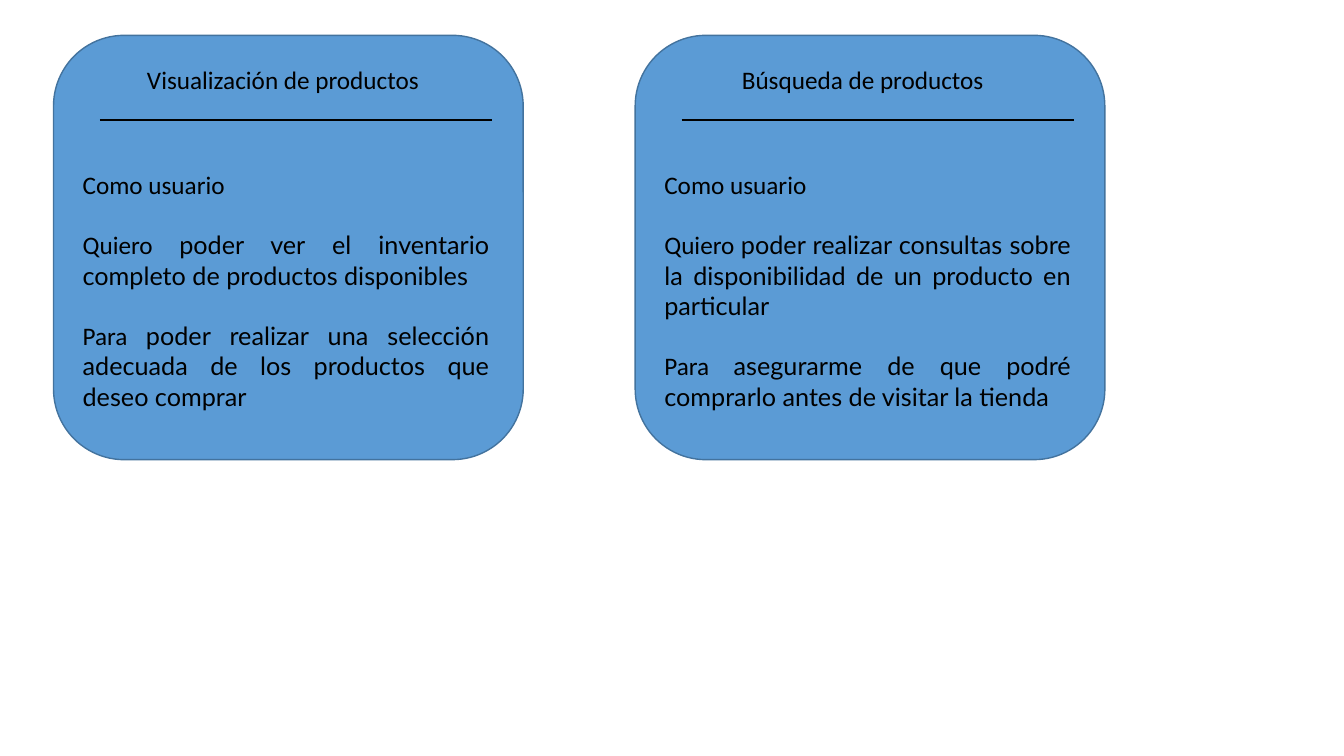
from pptx import Presentation
from pptx.dml.color import RGBColor as Rgb
from pptx.enum.shapes import MSO_CONNECTOR as Connector, MSO_SHAPE as Shape
from pptx.enum.text import PP_ALIGN as Align
from pptx.oxml.ns import qn
from pptx.util import Inches, Pt
from lxml.etree import SubElement

COLORS = {"card": "5B9BD5", "border": "43739E", "ink": "000000"}
STORIES = [
    {
        "title": "Visualización de productos",
        "indent": 6.22,
        "width": 22.05,
        "lines": [
            ("Como usuario", ""),
            ("Quiero ", "poder ver el inventario completo de productos disponibles"),
            ("Para ", "poder realizar una selección adecuada de los productos que deseo comprar"),
        ],
    },
    {
        "title": "Búsqueda de productos",
        "indent": 7.2,
        "width": 20.55,
        "lines": [
            ("Como usuario", ""),
            ("Quiero ", "poder realizar consultas sobre la disponibilidad de un producto en particular"),
            ("Para ", "asegurarme de que podré comprarlo antes de visitar la tienda"),
        ],
    },
]
FIRST_LEFT, STEP = 3.98, 43.28


class StoryBoard:
    lead_font, body_font = "Calibri", "Lato"
    size, gap = Pt(18), Pt(21.6)

    def __init__(self, deck):
        self.deck = deck
        self.page = deck.slides.add_slide(deck.slide_layouts[6])

    def x(self, percent):
        return round(self.deck.slide_width * percent / 100)

    def y(self, percent):
        return round(self.deck.slide_height * percent / 100)

    def area(self, left, top, width, height):
        return self.x(left), self.y(top), self.x(width), self.y(height)

    def color(self, name):
        return Rgb.from_string(COLORS[name])

    def card(self, group, *area):
        card = group.shapes.add_shape(Shape.ROUNDED_RECTANGLE, *self.area(*area))
        card.shadow.inherit = False
        card.fill.solid()
        card.fill.fore_color.rgb = self.color("card")
        card.line.color.rgb = self.color("border")
        card.line.width = Pt(1)

    def rule(self, group, left, top, width):
        start, end, level = self.x(left), self.x(left + width), self.y(top)
        rule = group.shapes.add_connector(Connector.STRAIGHT, start, level, end, level)
        rule.line.color.rgb = self.color("ink")
        rule.line.width = Pt(1.5)
        SubElement(rule.element.spPr, qn("a:effectLst"))

    def text(self, group, area, lines, align):
        box = group.shapes.add_textbox(*self.area(*area))
        frame = box.text_frame
        frame.word_wrap = True
        for index, (lead, rest) in enumerate(lines):
            para = frame.add_paragraph() if index else frame.paragraphs[0]
            para.alignment = align
            if index:
                para.space_before = self.gap
            self.span(para, lead, self.lead_font)
            if rest:
                self.span(para, rest, self.body_font)

    def span(self, para, words, font):
        span = para.add_run()
        span.text = words
        span.font.name = font
        span.font.size = self.size
        span.font.color.rgb = self.color("ink")

    def story(self, left, story):
        group = self.page.shapes.add_group_shape()
        self.card(group, left, 4.67, 34.95, 56.13)
        title_area = left + story["indent"], 7.87, story["width"], 5.33
        self.text(group, title_area, [(story["title"], "")], Align.LEFT)
        self.rule(group, left + 3.45, 15.87, 29.18)
        self.text(group, (left + 1.43, 21.73, 31.73, 33.6), story["lines"], Align.JUSTIFY)


def main():
    deck = Presentation()
    deck.slide_width, deck.slide_height = Inches(13.33), Inches(7.5)
    board = StoryBoard(deck)
    for column, story in enumerate(STORIES):
        board.story(FIRST_LEFT + column * STEP, story)
    deck.save("out.pptx")


if __name__ == "__main__":
    main()
